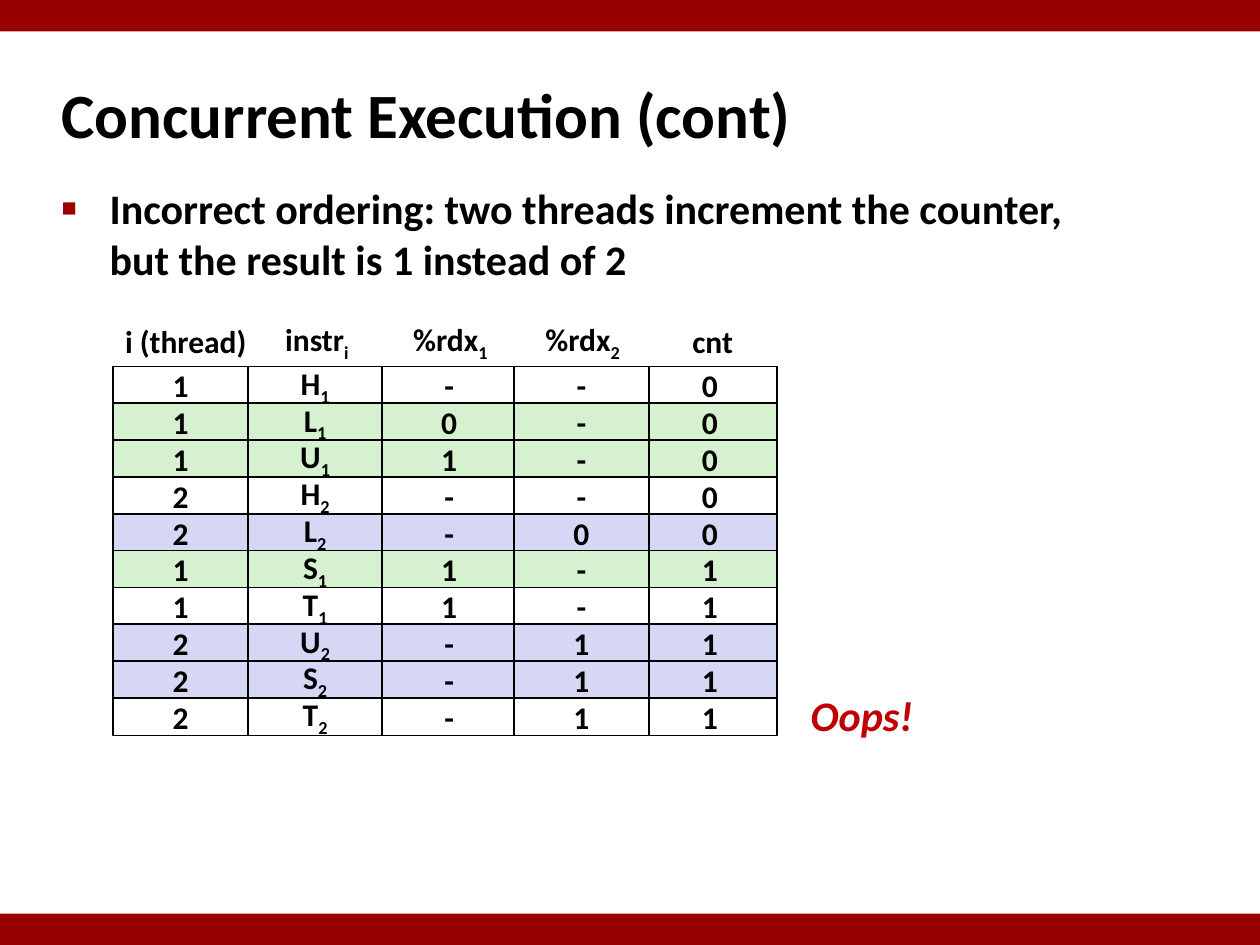
"""Build a slide that traces a bad interleaving of two threads."""
from lxml.etree import SubElement
from pptx import Presentation
from pptx.dml.color import RGBColor
from pptx.enum.shapes import MSO_SHAPE
from pptx.enum.text import MSO_ANCHOR, MSO_AUTO_SIZE, PP_ALIGN
from pptx.oxml.ns import qn
from pptx.util import Pt

COLORS = {
    "bar": "990000",
    "text": "000000",
    "warning": "C00000",
    "plain": "FFFFFF",
    "thread 1": "D5F1CF",
    "thread 2": "D6D6F5",
}
FONT = "Calibri"
FIRST_ROW_TOP, ROW_STEP = 209.4, 21.05
CELL_WIDTH, CELL_HEIGHT = 77, 21.4
HEADER_TOP, HEADER_HEIGHT = 180.6, 28.8

# Header, subscript, header centre, header width, column left
COLUMNS = [
    ("i (thread)", "", 106.2, 84, 64.8),
    ("instr", "i", 181.1, 51, 141.6),
    ("%rdx", "1", 257.4, 58, 218.2),
    ("cnt", "", 407.2, 38, 367.2),
    ("%rdx", "2", 333, 58, 293.8),
]
# Thread, instruction, %rdx1, cnt, %rdx2
TRACE = [
    ("1", "H", "-", "0", "-"),
    ("1", "L", "0", "0", "-"),
    ("1", "U", "1", "0", "-"),
    ("2", "H", "-", "0", "-"),
    ("2", "L", "-", "0", "0"),
    ("1", "S", "1", "1", "-"),
    ("1", "T", "1", "1", "-"),
    ("2", "U", "-", "1", "1"),
    ("2", "S", "-", "1", "1"),
    ("2", "T", "-", "1", "1"),
]


def rgb(name):
    """Return the named colour."""
    return RGBColor.from_string(COLORS[name])


def place(shape, left, top, width, height):
    """Move and size a shape in points."""
    shape.left, shape.top = Pt(left), Pt(top)
    shape.width, shape.height = Pt(width), Pt(height)


def write(paragraph, text, size, subscript="", color="text", align=PP_ALIGN.CENTER):
    """Fill a paragraph with bold text and an optional subscript."""
    paragraph.alignment = align
    paragraph.add_run().text = text
    if subscript:
        span = paragraph.add_run()
        span.text = subscript
        span.font._element.set("baseline", "-25000")
    font = paragraph.font
    font.name, font.size, font.bold = FONT, Pt(size), True
    font.color.rgb = rgb(color)


def set_indent(paragraph, indent):
    """Give a paragraph a hanging indent in points."""
    properties = paragraph._p.get_or_add_pPr()
    properties.set("marL", str(Pt(indent)))
    properties.set("indent", str(Pt(-indent)))
    return properties


def add_title(page, text):
    """Fill the title placeholder."""
    title = page.shapes.title
    place(title, 28, 34.6, 598, 59.8)
    title.text_frame.vertical_anchor = MSO_ANCHOR.MIDDLE
    paragraph = title.text_frame.paragraphs[0]
    set_indent(paragraph, 9.4)
    write(paragraph, text, 36, align=PP_ALIGN.LEFT)


def add_bullet(page, text):
    """Fill the body placeholder with one square-bulleted point."""
    body = page.placeholders[1]
    place(body, 28, 100.8, 622, 67.7)
    paragraph = body.text_frame.paragraphs[0]
    paragraph.space_before = Pt(0)
    properties = set_indent(paragraph, 27.4)
    color = SubElement(properties, qn("a:buClr"))
    SubElement(color, qn("a:srgbClr"), val=COLORS["bar"])
    SubElement(properties, qn("a:buSzPct"), val="60000")
    SubElement(properties, qn("a:buChar"), char="■")
    write(paragraph, text, 24, align=PP_ALIGN.LEFT)


def add_rectangle(page, left, top, width, height, fill):
    """Add a flat rectangle without an outline."""
    box = page.shapes.add_shape(
        MSO_SHAPE.RECTANGLE, Pt(left), Pt(top), Pt(width), Pt(height))
    box.shadow.inherit = False
    box.fill.solid()
    box.fill.fore_color.rgb = rgb(fill)
    box.line.fill.background()
    return box


def add_cell(page, left, top, fill, text, subscript):
    """Add one outlined cell of the trace."""
    cell = add_rectangle(page, left, top, CELL_WIDTH, CELL_HEIGHT, fill)
    cell.line.color.rgb = rgb("text")
    cell.line.width = Pt(1)
    cell.text_frame.vertical_anchor = MSO_ANCHOR.MIDDLE
    write(cell.text_frame.paragraphs[0], text, 18, subscript)


def add_label(page, left, top, width, height, text, size, subscript="", color="text"):
    """Add a centred one-line label and return its paragraph."""
    box = page.shapes.add_textbox(Pt(left), Pt(top), Pt(width), Pt(height))
    frame = box.text_frame
    frame.word_wrap = False
    frame.auto_size = MSO_AUTO_SIZE.SHAPE_TO_FIT_TEXT
    frame.vertical_anchor = MSO_ANCHOR.MIDDLE
    write(frame.paragraphs[0], text, size, subscript, color)
    return frame.paragraphs[0]


def add_trace(page):
    """Add the headed grid of steps, shaded by thread for L, U and S."""
    for column, (header, index, centre, width, left) in enumerate(COLUMNS):
        add_label(page, centre - width / 2, HEADER_TOP, width, HEADER_HEIGHT,
                  header, 18, index)
        for row, step in enumerate(TRACE):
            thread, instruction = step[:2]
            fill = f"thread {thread}" if instruction in "LUS" else "plain"
            subscript = thread if column == 1 else ""
            add_cell(page, left, FIRST_ROW_TOP + row * ROW_STEP, fill,
                     step[column], subscript)


def main():
    """Build and save the deck."""
    deck = Presentation()
    deck.slide_width, deck.slide_height = Pt(720), Pt(540)
    page = deck.slides.add_slide(deck.slide_layouts[1])
    add_title(page, "Concurrent Execution (cont)")
    add_bullet(page, "Incorrect ordering: two threads increment the counter, "
                     "but the result is 1 instead of 2")
    add_trace(page)
    warning = add_label(page, 455.8, 390.2, 73.4, 36, "Oops!", 24, color="warning")
    warning.font.italic = True
    for top in (0, 522):
        add_rectangle(page, 0, top, 720, 18, "bar")
    deck.save("out.pptx")


if __name__ == "__main__":
    main()
